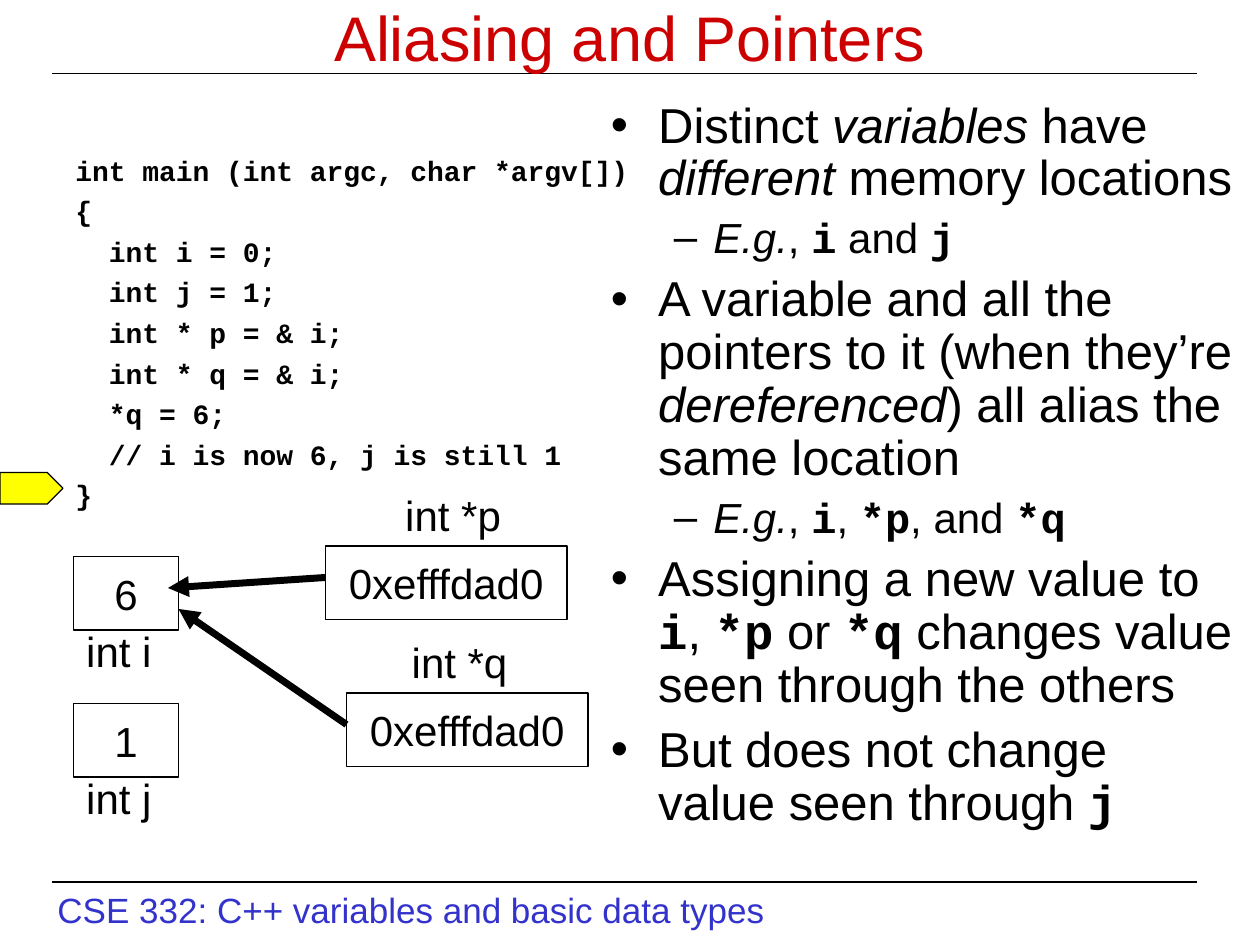
from dataclasses import dataclass

import pptx
import pptx.dml.color
import pptx.enum.shapes
import pptx.enum.text
import pptx.oxml
import pptx.oxml.ns
import pptx.util
from pptx.util import Pt

SHAPE = pptx.enum.shapes.MSO_SHAPE
ALIGN = pptx.enum.text.PP_ALIGN
ANCHOR = pptx.enum.text.MSO_ANCHOR
AUTO = pptx.enum.text.MSO_AUTO_SIZE


@dataclass(frozen=True)
class Theme:
    black: str = "000000"
    white: str = "FFFFFF"
    title: str = "CC0000"
    footer: str = "3333CC"
    marker: str = "FFFF00"
    sans: str = "Arial"
    mono: str = "Courier New"
    title_size: int = 36
    bullet_size: int = 28
    label_size: int = 24
    footer_size: int = 20
    code_size: int = 16
    thin: float = 0.75
    thick: float = 4


T = Theme()


@dataclass(frozen=True)
class Run:
    text: str
    italic: bool = False
    code: bool = False


@dataclass(frozen=True)
class Level:
    bullet: str
    size: int
    margin: float
    indent: float
    before: float


@dataclass(frozen=True)
class Variable:
    name: str
    value: str
    box: tuple[float, float, float, float]
    label: tuple[float, float, float, float]


@dataclass(frozen=True)
class Arrow:
    begin: tuple[float, float]
    end: tuple[float, float]


def it(text: str) -> Run:
    return Run(text, italic=True)


def code(text: str) -> Run:
    return Run(text, code=True)


MAIN = Level("•", T.bullet_size, 27, -27, 7)
SUB = Level("–", T.label_size, 58.5, -22.5, 6)

CODE = """int main (int argc, char *argv[])
{
  int i = 0;
  int j = 1;
  int * p = & i;
  int * q = & i;
  *q = 6;
  // i is now 6, j is still 1
}""".split("\n")

BULLETS = [
    (MAIN, [Run("Distinct "), it("variables"), Run(" have "), it("different"),
            Run(" memory locations")]),
    (SUB, [it("E.g."), Run(", "), code("i"), Run(" and "), code("j")]),
    (MAIN, [Run("A variable and all the pointers to it (when they’re "),
            it("dereferenced"), Run(") all alias the same location")]),
    (SUB, [it("E.g."), Run(", "), code("i"), Run(", "), code("*p"),
           Run(", and "), code("*q")]),
    (MAIN, [Run("Assigning a new value to "), code("i"), Run(", "), code("*p"),
            Run(" or "), code("*q"),
            Run(" changes value seen through the others")]),
    (MAIN, [Run("But does not change value seen through "), code("j")]),
]

VARIABLES = [
    Variable("int *p", "0xefffdad0", (186, 312, 138, 42), (224.5, 276, 69, 36)),
    Variable("int i", "6", (42, 318, 60, 42), (42.2, 353.8, 52, 36)),
    Variable("int j", "1", (42, 402, 60, 42), (42.2, 437.8, 52, 36)),
    Variable("int *q", "0xefffdad0", (198, 396, 138, 42), (228.2, 360, 69, 36)),
]

ARROWS = [Arrow((186, 330), (96, 336)), Arrow((198, 414), (102, 348))]


def rgb(color: str) -> pptx.dml.color.RGBColor:
    return pptx.dml.color.RGBColor.from_string(color)


def put_text(p, text: str, *, size: float = T.label_size, color: str = T.black,
             font: str = T.sans, bold: bool = False, italic: bool = False) -> None:
    r = p.add_run()
    r.text = text
    r.font.name, r.font.size = font, Pt(size)
    r.font.bold, r.font.italic = bold, italic
    r.font.color.rgb = rgb(color)


def add_box(s, place: tuple, wrap: bool = True):
    """Add a text box; one that does not wrap grows with its text."""
    tf = s.shapes.add_textbox(*map(Pt, place)).text_frame
    tf.word_wrap = wrap
    tf.auto_size = AUTO.NONE if wrap else AUTO.SHAPE_TO_FIT_TEXT
    return tf


def add_shape(s, kind, place: tuple, fill: str):
    sp = s.shapes.add_shape(kind, *map(Pt, place))
    sp.shadow.inherit = False
    sp.fill.solid()
    sp.fill.fore_color.rgb = rgb(fill)
    sp.line.color.rgb = rgb(T.black)
    sp.line.width = Pt(T.thin)
    return sp


def add_line(s, begin: tuple, end: tuple, width: float, arrow: bool = False) -> None:
    line = s.shapes.add_connector(pptx.enum.shapes.MSO_CONNECTOR.STRAIGHT,
                                  *map(Pt, begin + end))
    line.line.color.rgb = rgb(T.black)
    line.line.width = Pt(width)
    if arrow:
        tail = pptx.oxml.ns.qn("a:tailEnd")
        line.line._get_or_add_ln().append(
            line._element.makeelement(tail, {"type": "triangle"}))
    line._element.spPr.append(
        line._element.makeelement(pptx.oxml.ns.qn("a:effectLst"), {}))


def set_indent(p, margin: float, indent: float, bullet: str = "") -> None:
    pPr = p._p.get_or_add_pPr()
    pPr.set("marL", str(Pt(margin)))
    pPr.set("indent", str(Pt(indent)))
    if bullet:
        qn = pptx.oxml.ns.qn
        clr = pPr.makeelement(qn("a:buClr"), {})
        clr.append(pPr.makeelement(qn("a:srgbClr"), {"val": T.black}))
        pPr.append(clr)
        pPr.append(pPr.makeelement(qn("a:buFont"), {"typeface": T.sans}))
        pPr.append(pPr.makeelement(qn("a:buChar"), {"char": bullet}))


def next_paragraph(tf, index: int):
    return tf.add_paragraph() if index else tf.paragraphs[0]


def add_code(s) -> None:
    tf = add_box(s, (36, 84, 342, 222))
    for n, text in enumerate(CODE):
        p = next_paragraph(tf, n)
        p.space_before = Pt(4)
        set_indent(p, 27, -27)
        put_text(p, text, size=T.code_size, font=T.mono, bold=True)


def add_bullets(s) -> None:
    tf = add_box(s, (342, 54, 372, 426))
    for n, (level, runs) in enumerate(BULLETS):
        p = next_paragraph(tf, n)
        p.level = 1 if level is SUB else 0
        p.line_spacing, p.space_before = 0.9, Pt(level.before)
        set_indent(p, level.margin, level.indent, level.bullet)
        for run in runs:
            put_text(p, run.text, size=level.size, italic=run.italic,
                     bold=run.code, font=T.mono if run.code else T.sans)


def add_variable(s, var: Variable) -> None:
    tf = add_shape(s, SHAPE.RECTANGLE, var.box, T.white).text_frame
    tf.word_wrap, tf.vertical_anchor = False, ANCHOR.MIDDLE
    tf.paragraphs[0].alignment = ALIGN.CENTER
    put_text(tf.paragraphs[0], var.value)
    put_text(add_box(s, var.label, wrap=False).paragraphs[0], var.name)


def main() -> None:
    prs = pptx.Presentation()
    prs.slide_width, prs.slide_height = Pt(720), Pt(540)
    s = prs.slides.add_slide(prs.slide_layouts[6])

    # Footer, rules and title
    footer = add_box(s, (25.7, 504, 430, 32))
    put_text(footer.paragraphs[0], "CSE 332: C++ variables and basic data types",
             size=T.footer_size, color=T.footer)
    for y in (504, 42):
        add_line(s, (30, y), (684, y), T.thin)
    title = add_box(s, (18, 0, 684, 42))
    title.vertical_anchor = ANCHOR.MIDDLE
    title.paragraphs[0].alignment = ALIGN.CENTER
    put_text(title.paragraphs[0], "Aliasing and Pointers",
             size=T.title_size, color=T.title)

    # Code, explanation and current-line marker
    add_code(s)
    add_bullets(s)
    add_shape(s, SHAPE.PENTAGON, (0, 270, 36, 18), T.marker)

    # Memory diagram
    for var in VARIABLES:
        add_variable(s, var)
    for arrow in ARROWS:
        add_line(s, arrow.begin, arrow.end, T.thick, arrow=True)

    prs.save("out.pptx")


if __name__ == "__main__":
    main()
